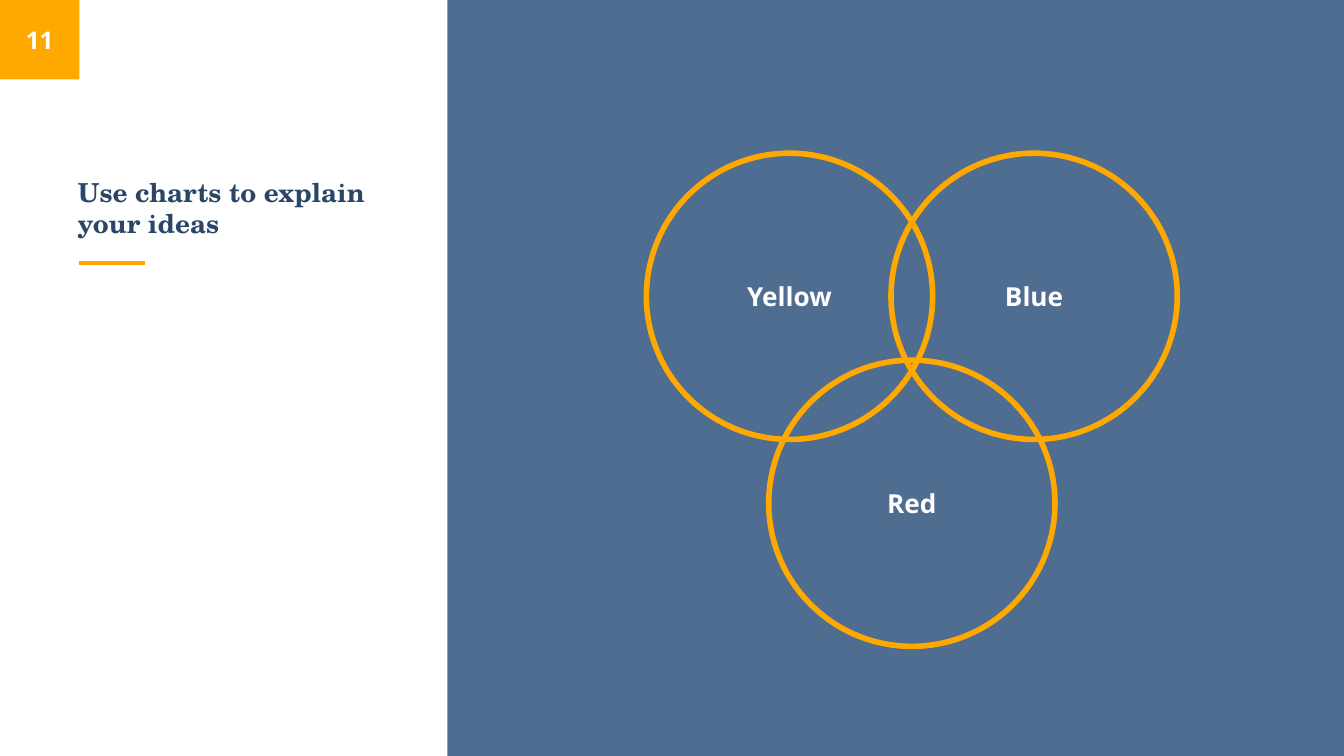
"""Build a slide with a title panel and three overlapping circles."""
from dataclasses import dataclass
from typing import Any, Optional

import lxml.etree
import pptx
import pptx.dml.color
import pptx.enum.shapes
import pptx.enum.text
import pptx.oxml.ns
import pptx.util

COLUMNS = 100
ROWS = 56.25
CELL = pptx.util.Inches(0.1)
ORANGE, NAVY, STEEL, WHITE = "FFA800", "294667", "325680", "FFFFFF"
SHAPES = pptx.enum.shapes.MSO_SHAPE
ALIGN = pptx.enum.text.PP_ALIGN
ANCHOR = pptx.enum.text.MSO_ANCHOR


@dataclass(frozen=True)
class Area:
    """A rectangle in grid columns and rows."""
    left: float
    top: float
    width: float
    height: float

    def lengths(self) -> list[int]:
        """Return the four sides as slide lengths."""
        return [cells(side) for side in (self.left, self.top, self.width, self.height)]


@dataclass(frozen=True)
class Label:
    """A bold text with its format."""
    text: str
    size: float = 14
    font: str = "Open Sans"
    color: str = WHITE
    align: Any = ALIGN.CENTER
    anchor: Any = ANCHOR.MIDDLE


@dataclass(frozen=True)
class Circle:
    """A named circle, placed by its left and top."""
    name: str
    left: float
    top: float


DIAMETER = 21.3
CIRCLES = [Circle("Yellow", 48.1, 11.4), Circle("Red", 57.2, 26.8), Circle("Blue", 66.3, 11.4)]


def cells(count: float) -> int:
    """Turn a number of grid cells into a length."""
    return round(count * CELL)


def rgb(color: str) -> pptx.dml.color.RGBColor:
    """Turn a hex string into a colour."""
    return pptx.dml.color.RGBColor.from_string(color)


def apply(target: Any, values: dict[str, Any]) -> None:
    """Set each attribute of the target from the values."""
    for name, value in values.items():
        setattr(target, name, value)


def write(box: Any, label: Label) -> None:
    """Write the label into the box."""
    inset = pptx.util.Inches(0.1)
    frame = box.text_frame
    margins = {f"margin_{side}": inset for side in ("left", "top", "right", "bottom")}
    apply(frame, {"word_wrap": True, "vertical_anchor": label.anchor, **margins})
    para = frame.paragraphs[0]
    para.alignment = label.align
    span = para.add_run()
    span.text = label.text
    apply(span.font, {"size": pptx.util.Pt(label.size), "name": label.font, "bold": True})
    span.font.color.rgb = rgb(label.color)


def add_text(page: Any, area: Area, label: Label) -> None:
    """Add a text box with the label."""
    write(page.shapes.add_textbox(*area.lengths()), label)


def add_block(page: Any, area: Area, color: str, opacity: Optional[int] = None) -> None:
    """Add a filled rectangle, with an opacity in percent if given."""
    block = page.shapes.add_shape(SHAPES.RECTANGLE, *area.lengths())
    block.shadow.inherit = False
    block.fill.solid()
    block.fill.fore_color.rgb = rgb(color)
    block.line.fill.background()
    if opacity is not None:
        tone = block.fill._xPr.find(".//" + pptx.oxml.ns.qn("a:srgbClr"))
        alpha = lxml.etree.SubElement(tone, pptx.oxml.ns.qn("a:alpha"))
        alpha.set("val", str(opacity * 1000))


def add_rule(page: Any, left: float, right: float, row: float) -> None:
    """Add a horizontal line between two columns."""
    rule = page.shapes.add_connector(
        pptx.enum.shapes.MSO_CONNECTOR.STRAIGHT,
        cells(left), cells(row), cells(right), cells(row),
    )
    rule.line.color.rgb = rgb(ORANGE)
    rule.line.width = pptx.util.Pt(2.25)
    lxml.etree.SubElement(rule._element.spPr, pptx.oxml.ns.qn("a:effectLst"))


def add_circle(page: Any, circle: Circle) -> None:
    """Add an outlined circle with its name."""
    area = Area(circle.left, circle.top, DIAMETER, DIAMETER)
    ring = page.shapes.add_shape(SHAPES.OVAL, *area.lengths())
    ring.shadow.inherit = False
    ring.fill.background()
    ring.line.color.rgb = rgb(ORANGE)
    ring.line.width = pptx.util.Pt(3)
    write(ring, Label(circle.name))


def main() -> None:
    """Build and save the deck."""
    deck = pptx.Presentation()
    apply(deck, {"slide_width": cells(COLUMNS), "slide_height": cells(ROWS)})
    page = deck.slides.add_slide(deck.slide_layouts[6])
    panel_left = 33.3
    add_block(page, Area(panel_left, 0, COLUMNS - panel_left, ROWS), STEEL, 86)
    add_rule(page, 5.85, 10.8, 19.6)
    badge = Area(0, 0, 5.9, 5.9)
    add_block(page, badge, ORANGE)
    title = Label("Use charts to explain your ideas", 14, "TeX Gyre Schola", NAVY,
                  ALIGN.LEFT, ANCHOR.BOTTOM)
    add_text(page, Area(4.8, 11.4, 23.5, 7.4), title)
    for circle in CIRCLES:
        add_circle(page, circle)
    add_text(page, badge, Label("11", 13))
    deck.save("out.pptx")


if __name__ == "__main__":
    main()
